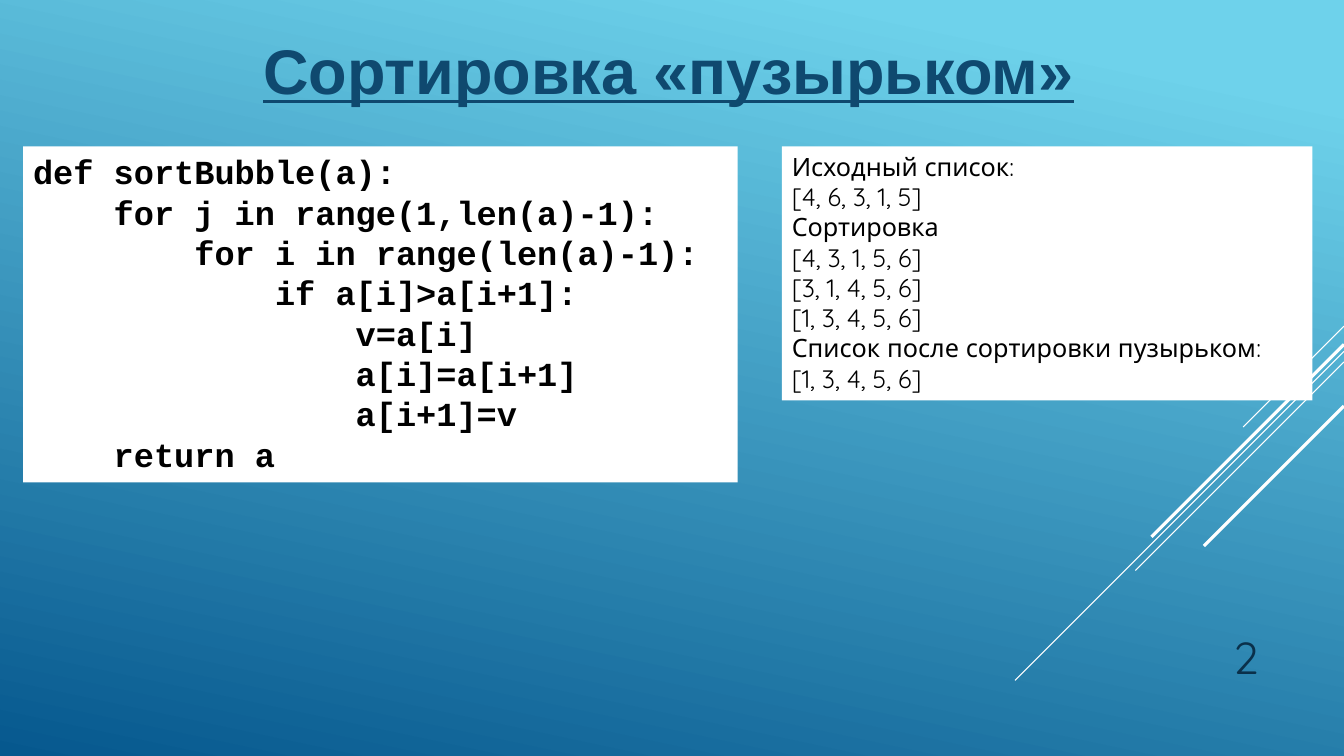
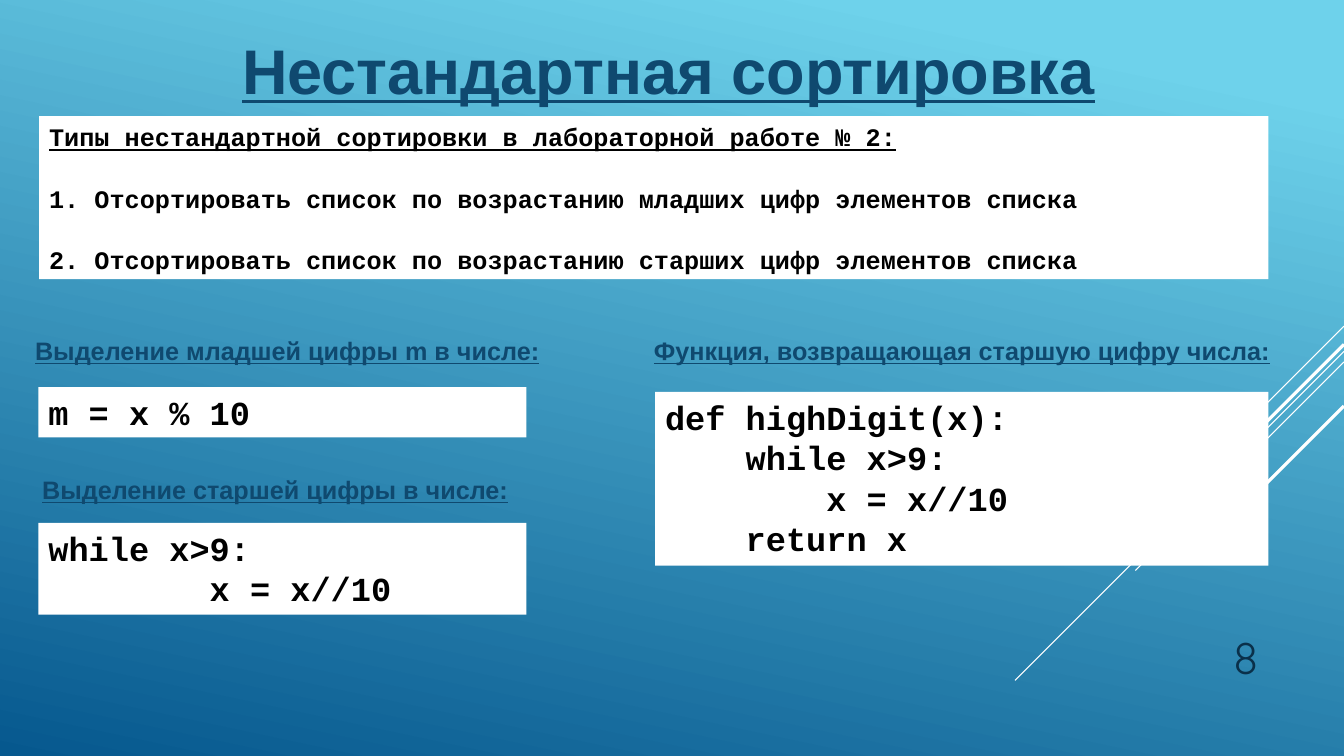
from collections import namedtuple

from lxml.etree import SubElement
from pptx import Presentation
from pptx.dml.color import RGBColor
from pptx.enum.shapes import MSO_CONNECTOR as Connector
from pptx.enum.text import MSO_ANCHOR as Anchor, PP_ALIGN as Align
from pptx.oxml.ns import qn
from pptx.util import Pt

Box = namedtuple("Box", "left top width height")
Style = namedtuple("Style", "font size color bold underline", defaults=(False, False))

COLORS = {
    "sky": "6ED2EB",
    "deep": "06588E",
    "title": "0F496F",
    "number": "0A304A",
    "panel": "FFFFFF",
    "ray": "FFFFFF",
    "text": "000000",
}
TITLE = Style("Arial", 45, "title", True, True)
HEADING = Style("Arial", 18, "title", True, True)
CODE = Style("Courier New", 24, "text", True)
TASK = Style("Courier New", 18, "text", True)
TASK_TITLE = TASK._replace(underline=True)
OUTPUT = Style("Quicksand", 18, "text")
NUMBER = Style("Quicksand", 32, "number")

PAGE = Box(0, 0, 960, 540)
TITLE_BOX = Box(49, 19, 857, 62)
NUMBER_BOX = Box(816, 439, 90, 52.5)
# Start height on the right edge, reach down and left, line width
RAYS = [(233, 72, 0.75), (251, 235, 0.75), (258.5, 149, 0.75),
        (246, 137.5, 2.25), (290, 100, 2.25)]

BUBBLE_CODE = """def sortBubble(a):
    for j in range(1,len(a)-1):
        for i in range(len(a)-1):
            if a[i]>a[i+1]:
                v=a[i]
                a[i]=a[i+1]
                a[i+1]=v
    return a"""
BUBBLE_OUTPUT = """Исходный список:
[4, 6, 3, 1, 5]
Сортировка
[4, 3, 1, 5, 6]
[3, 1, 4, 5, 6]
[1, 3, 4, 5, 6]
Список после сортировки пузырьком:
[1, 3, 4, 5, 6]"""
HIGH_DIGIT_LOOP = """while x>9:
        x = x//10"""
HIGH_DIGIT_FUNCTION = """def highDigit(x):
    while x>9:
        x = x//10
    return x"""
TASKS = [
    "Отсортировать список по возрастанию младших цифр элементов списка",
    "Отсортировать список по возрастанию старших цифр элементов списка",
]


def rgb(name):
    return RGBColor.from_string(COLORS[name])


def add_run(para, text, style):
    span = para.add_run()
    span.text = text
    font = span.font
    font.name, font.size = style.font, Pt(style.size)
    font.bold, font.underline = style.bold, style.underline
    font.color.rgb = rgb(style.color)


def add_text(page, box, text, style, align=Align.LEFT, anchor=Anchor.TOP, wrap=True):
    """Add a text box with one paragraph for each line of text."""
    shape = page.shapes.add_textbox(*map(Pt, box))
    frame = shape.text_frame
    frame.word_wrap, frame.vertical_anchor = wrap, anchor
    for index, line in enumerate(text.split("\n")):
        para = frame.add_paragraph() if index else frame.paragraphs[0]
        para.alignment = align
        add_run(para, line, style)
    return shape


def add_panel(page, box, text, style):
    panel = add_text(page, box, text, style)
    panel.fill.solid()
    panel.fill.fore_color.rgb = rgb("panel")
    return panel


def number_paragraph(para, style, indent):
    properties = para._p.get_or_add_pPr()
    properties.set("marL", str(Pt(indent)))
    properties.set("indent", str(-Pt(indent)))
    SubElement(properties, qn("a:buFont"), typeface=style.font)
    SubElement(properties, qn("a:buAutoNum"), type="arabicPeriod")


def add_task_list(page, box, title, tasks):
    panel = add_panel(page, box, title, TASK_TITLE)
    for task in tasks:
        para = panel.text_frame.add_paragraph()
        number_paragraph(para, TASK, indent=32.4)
        para.space_before = Pt(22.5)
        add_run(para, task, TASK)


def add_code_section(page, box, code, heading, shift, rise, width):
    """Add a code panel in the box, and a heading shifted and raised from its corner."""
    heading_box = Box(box.left + shift, box.top - rise, width, 29)
    add_text(page, heading_box, heading, HEADING, wrap=False)
    add_panel(page, box, code, CODE)


def add_rays(page, box):
    right = box.left + box.width
    for start, reach, width in RAYS:
        top = box.top + start
        ray = page.shapes.add_connector(
            Connector.STRAIGHT, Pt(right), Pt(top), Pt(right - reach), Pt(top + reach))
        ray.line.color.rgb = rgb("ray")
        ray.line.width = Pt(width)
        SubElement(ray._element.spPr, qn("a:effectLst"))


def paint_background(master):
    fill = master.background.fill
    fill.gradient()
    fill.gradient_angle = 258
    for stop, position, color in zip(fill.gradient_stops, (0.1, 1), ("sky", "deep")):
        stop.position = position
        stop.color.rgb = rgb(color)


def add_page(deck, title, number):
    page = deck.slides.add_slide(deck.slide_layouts[6])
    add_rays(page, PAGE)
    add_text(page, TITLE_BOX, title, TITLE, Align.CENTER)
    add_text(page, NUMBER_BOX, number, NUMBER, Align.RIGHT, Anchor.BOTTOM)
    return page


def add_bubble_page(deck):
    page = add_page(deck, "Сортировка «пузырьком»", "2")
    add_panel(page, Box(16.5, 104.5, 510.5, 240), BUBBLE_CODE, CODE)
    add_panel(page, Box(558.5, 104.5, 379, 181.5), BUBBLE_OUTPUT, OUTPUT)


def add_custom_sort_page(deck):
    page = add_page(deck, "Нестандартная сортировка", "8")
    add_task_list(page, Box(28, 83, 878, 116.5),
                  "Типы нестандартной сортировки в лабораторной работе № 2:", TASKS)
    add_code_section(page, Box(27.5, 276.5, 348.5, 36), "m = x % 10",
                     "Выделение младшей цифры m в числе:", -9.5, 40.5, 379)
    add_code_section(page, Box(27.5, 373.5, 348.5, 65.5), HIGH_DIGIT_LOOP,
                     "Выделение старшей цифры в числе:", -4.5, 38, 350.5)
    add_code_section(page, Box(468, 280, 438, 124), HIGH_DIGIT_FUNCTION,
                     "Функция, возвращающая старшую цифру числа:", -8, 44, 459)


def main():
    deck = Presentation()
    deck.slide_width, deck.slide_height = Pt(PAGE.width), Pt(PAGE.height)
    paint_background(deck.slide_master)
    add_bubble_page(deck)
    add_custom_sort_page(deck)
    deck.save("out.pptx")


if __name__ == "__main__":
    main()
